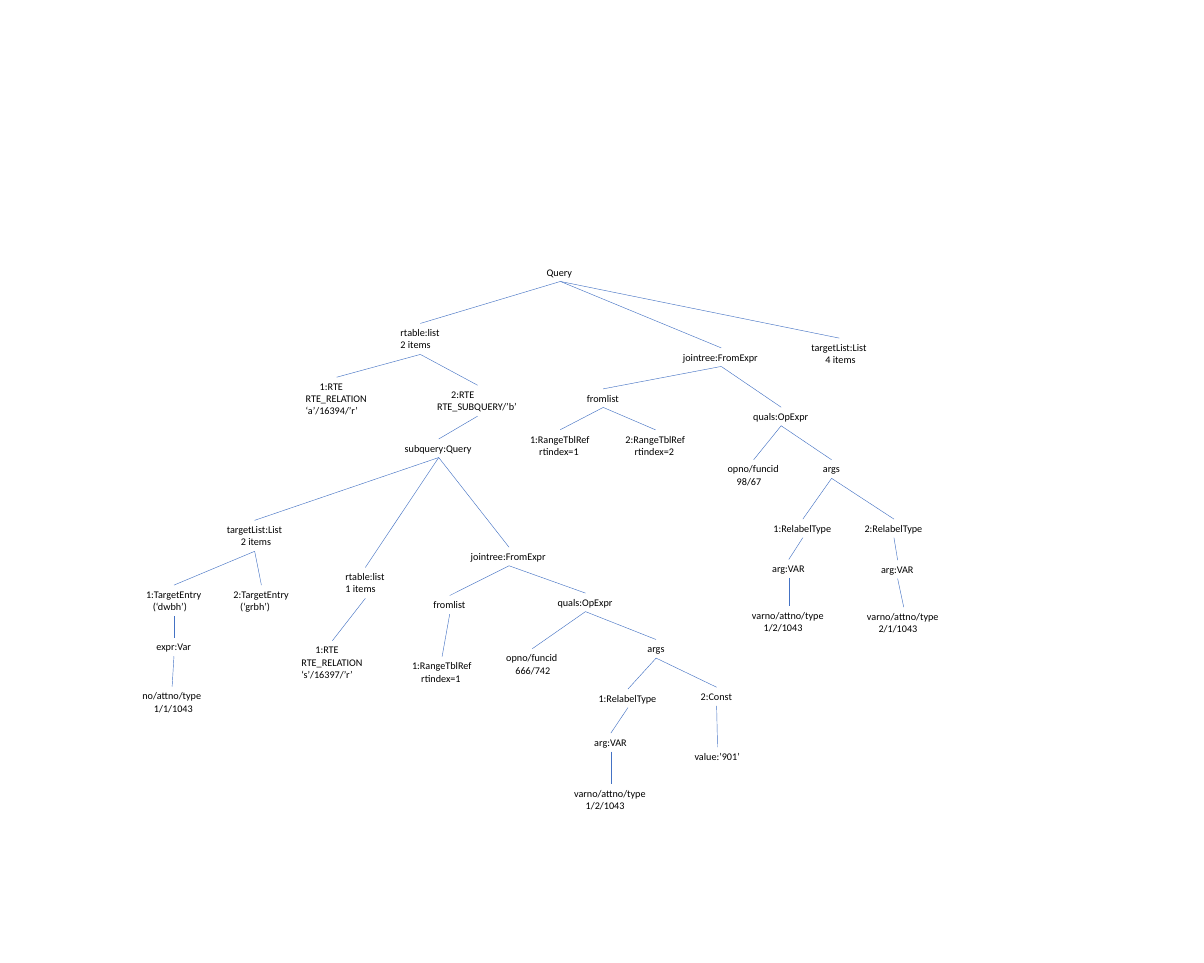
from dataclasses import dataclass

from lxml.etree import SubElement
from pptx import Presentation
from pptx.dml.color import RGBColor
from pptx.enum.shapes import MSO_CONNECTOR as Connector
from pptx.enum.text import MSO_AUTO_SIZE as AutoSize
from pptx.oxml.ns import qn
from pptx.shapes.autoshape import Shape
from pptx.slide import Slide
from pptx.util import Emu, Pt

PX = 9144  # 100 px to the inch
SLIDE_WIDTH, SLIDE_HEIGHT = 1969, 1575
LINE_HEIGHT = 20.34
PADDING = 10
BOTTOM, TOP = 2, 0

COLOURS = {"text": "000000", "branch": "4472C4"}
FONT_FORMAT = {"name": "Calibri", "size": Pt(12)}
FRAME_FORMAT = {"word_wrap": False, "auto_size": AutoSize.SHAPE_TO_FIT_TEXT}


@dataclass(frozen=True)
class Node:
    """A label of the query tree; indents holds one value per line, in px."""
    label: str
    left: int
    top: int
    width: int
    indents: tuple[int, ...] = ()
    children: tuple["Node", ...] = ()


def px(length: float) -> Emu:
    return Emu(round(length * PX))


def relation(label: str, left: int, top: int) -> Node:
    return Node(f"1:RTE\nRTE_RELATION\n{label}", left, top, 121, (23, 0, 0))


def range_ref(number: int, left: int, top: int) -> Node:
    return Node(f"{number}:RangeTblRef\nrtindex={number}", left, top, 118, (0, 15))


def operator(value: str, left: int, top: int) -> Node:
    return Node(f"opno/funcid\n{value}", left, top, 105, (0, 15))


def variable(left: int, top: int, value: str, value_left: int, value_top: int) -> Node:
    """An arg:VAR node with its varno/attno/type leaf."""
    leaf = Node(f"varno/attno/type\n{value}", value_left, value_top, 140, (0, 19))
    return Node("arg:VAR", left, top, 74, children=(leaf,))


SUBQUERY = Node("subquery:Query", 652, 718, 131, children=(
    Node("targetList:List\n2 items", 361, 851, 111, (0, 23), (
        Node("1:TargetEntry\n(‘dwbh’)", 229, 957, 111, (0, 11), (
            Node("expr:Var", 246, 1043, 77, children=(
                Node("no/attno/type\n1/1/1043", 223, 1123, 117, (0, 19)),
            )),
        )),
        Node("2:TargetEntry\n(‘grbh’)", 372, 957, 111, (0, 11)),
    )),
    Node("rtable:list\n1 items", 555, 928, 85, children=(
        relation("‘s’/16397/’r’", 483, 1048),
    )),
    Node("jointree:FromExpr", 760, 895, 145, children=(
        Node("fromlist", 699, 974, 73, children=(range_ref(1, 664, 1074),)),
        Node("quals:OpExpr", 902, 970, 111, children=(
            operator("666/742", 818, 1061),
            Node("args", 1049, 1046, 48, children=(
                Node("1:RelabelType", 969, 1127, 116, children=(
                    variable(962, 1199, "1/2/1043", 929, 1283),
                )),
                Node("2:Const", 1136, 1124, 72, children=(
                    Node("value:’901’", 1126, 1222, 95),
                )),
            )),
        )),
    )),
))

QUERY = Node("Query", 884, 430, 65, children=(
    Node("rtable:list\n2 items", 645, 529, 85, children=(
        relation("‘a’/16394/’r’", 490, 617),
        Node("2:RTE\nRTE_SUBQUERY/’b’", 705, 630, 152, (23, 0), (SUBQUERY,)),
    )),
    Node("jointree:FromExpr", 1107, 569, 145, children=(
        Node("fromlist", 950, 636, 73, children=(
            range_ref(1, 857, 703),
            range_ref(2, 1013, 703),
        )),
        Node("quals:OpExpr", 1222, 666, 111, children=(
            operator("98/67", 1180, 752),
            Node("args", 1336, 752, 48, children=(
                Node("1:RelabelType", 1255, 849, 116, children=(
                    variable(1253, 915, "1/2/1043", 1220, 991),
                )),
                Node("2:RelabelType", 1404, 849, 116, children=(
                    variable(1431, 916, "2/1/1043", 1408, 993),
                )),
            )),
        )),
    )),
    Node("targetList:List\n4 items", 1317, 553, 111, (0, 23)),
))


def draw_label(slide: Slide, node: Node) -> Shape:
    lines = node.label.split("\n")
    height = PADDING + LINE_HEIGHT * len(lines)
    label = slide.shapes.add_textbox(
        px(node.left), px(node.top), px(node.width), px(height))
    frame = label.text_frame
    for name, value in FRAME_FORMAT.items():
        setattr(frame, name, value)
    frame.text = node.label
    for paragraph in frame.paragraphs:
        font = paragraph.runs[0].font
        for name, value in FONT_FORMAT.items():
            setattr(font, name, value)
        font.color.rgb = RGBColor.from_string(COLOURS["text"])
    for paragraph, indent in zip(frame.paragraphs, node.indents):
        if indent:
            paragraph._p.get_or_add_pPr().set("marL", str(px(indent)))
    return label


def draw_branch(slide: Slide, parent: Shape, child: Shape) -> None:
    branch = slide.shapes.add_connector(Connector.STRAIGHT, 0, 0, 0, 0)
    branch.begin_connect(parent, BOTTOM)
    branch.end_connect(child, TOP)
    branch.line.width = Pt(0.5)
    branch.line.color.rgb = RGBColor.from_string(COLOURS["branch"])
    SubElement(branch._element.spPr, qn("a:effectLst"))


def draw_tree(slide: Slide, node: Node) -> Shape:
    """Draw a node and everything below it; return the node's label."""
    label = draw_label(slide, node)
    for child in node.children:
        draw_branch(slide, label, draw_tree(slide, child))
    return label


def main() -> None:
    deck = Presentation()
    deck.slide_width, deck.slide_height = px(SLIDE_WIDTH), px(SLIDE_HEIGHT)
    blank_layout = deck.slide_layouts[6]
    draw_tree(deck.slides.add_slide(blank_layout), QUERY)
    deck.save("out.pptx")


if __name__ == "__main__":
    main()
